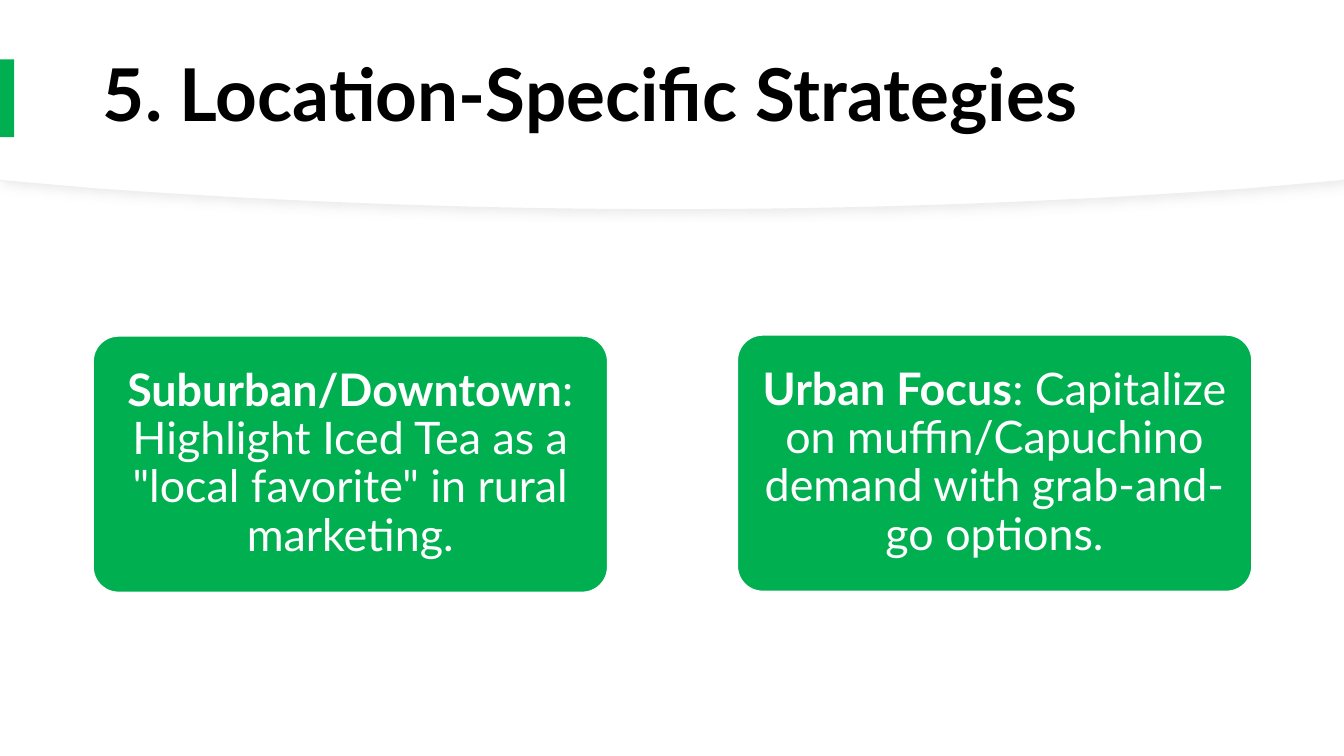
from lxml import etree
from pptx import Presentation
from pptx.dml.color import RGBColor
from pptx.enum.shapes import MSO_SHAPE
from pptx.enum.text import MSO_ANCHOR, PP_ALIGN
from pptx.oxml.ns import nsdecls
from pptx.util import Inches, Pt

RECT = MSO_SHAPE.RECTANGLE
ROUND = MSO_SHAPE.ROUNDED_RECTANGLE
MIDDLE = MSO_ANCHOR.MIDDLE
LEFT, CENTER = PP_ALIGN.LEFT, PP_ALIGN.CENTER

GREEN = RGBColor(0x00, 0xB0, 0x50)
WHITE = RGBColor(0xFF, 0xFF, 0xFF)
BLACK = RGBColor(0x00, 0x00, 0x00)
EDGE = RGBColor(0xEF, 0xEF, 0xEF)
SHADE = RGBColor(0xD9, 0xD9, 0xD9)

FONT = "Lato"
WIDE, HIGH = 13.33, 7.5
STEPS = 24

CARDS = [
    (0.92, 3.33, "Suburban/Downtown",
     ': Highlight Iced Tea as a "local favorite" in rural marketing.'),
    (7.31, 3.32, "Urban Focus",
     ": Capitalize on muffin/Capuchino demand with grab-and-go options."),
]


def style(run, size, color, bold):
    font = run.font
    font.name, font.size, font.bold = FONT, Pt(size), bold
    font.color.rgb = color


def paint(shape, fill):
    shape.shadow.inherit = False
    shape.fill.solid()
    shape.fill.fore_color.rgb = fill
    shape.line.fill.background()


def outline(shape, color, width):
    shape.line.color.rgb = color
    shape.line.width = Pt(width)


def bezier(start, first, second, end):
    """Return points along a cubic curve, without its start."""
    points = []
    for step in range(1, STEPS + 1):
        t = step / STEPS
        u = 1 - t
        points.append(tuple(
            u**3 * a + 3 * u * u * t * b + 3 * u * t * t * c + t**3 * d
            for a, b, c, d in zip(start, first, second, end)))
    return points


def add_panel(slide, width, height):
    """Draw a white panel whose lower edge bows down to the height."""
    mid = width / 2
    side, knee, bend = height - 0.29, height - 0.21, height - 0.08
    half = bezier((width - 0.91, knee), (width - 2.68, bend),
                  (width - 4.63, height), (mid, height))
    mirror = [(width - x, y) for x, y in reversed(half[:-1])]
    points = [(width, 0), (width, side), (width - 0.91, knee), *half,
              *mirror, (0.91, knee), (0, side)]
    pen = slide.shapes.build_freeform(0, 0)
    pen.add_line_segments([(Inches(x), Inches(y)) for x, y in points])
    panel = pen.convert_to_shape()
    paint(panel, WHITE)
    return panel


def add_shadow(shape):
    effects = shape._element.spPr.find("{*}effectLst")
    effects.append(etree.fromstring(
        f'<a:outerShdw {nsdecls("a")} blurRad="{Pt(7)}" dist="{Pt(3)}" '
        f'dir="2700000" algn="tl" rotWithShape="0"><a:srgbClr val="{SHADE}">'
        '<a:alpha val="50000"/></a:srgbClr></a:outerShdw>'))


def add_header(slide, width, height):
    back = add_panel(slide, width, height)
    outline(back, EDGE, 0.75)
    add_shadow(back)
    add_panel(slide, width, height - 0.01)

    title = slide.shapes.title
    back._element.getparent().append(title._element)
    title.left, title.top = Inches(0.92), Inches(0.28)
    title.width, title.height = Inches(11.5), Inches(1.39)
    frame = title.text_frame
    frame.text = "5. Location-Specific Strategies"
    frame.vertical_anchor = MIDDLE
    para = frame.paragraphs[0]
    para.alignment, para.line_spacing = LEFT, 0.9
    style(para.runs[0], 52, BLACK, True)

    mark = slide.shapes.add_shape(
        RECT, 0, Inches(0.59), Inches(0.14), Inches(0.77))
    paint(mark, GREEN)


def add_card(slide, left, top, width, height, label, detail):
    card = slide.shapes.add_shape(
        ROUND, Inches(left), Inches(top), Inches(width), Inches(height))
    card.adjustments[0] = 0.1
    paint(card, GREEN)
    outline(card, WHITE, 1.5)
    frame = card.text_frame
    frame.word_wrap = True
    frame.vertical_anchor = MIDDLE
    frame.margin_left = frame.margin_right = Inches(0.07)
    frame.margin_top = frame.margin_bottom = Inches(0.04)
    para = frame.paragraphs[0]
    para.alignment, para.line_spacing = CENTER, 0.9
    for text, bold in ((label, True), (detail, False)):
        run = para.add_run()
        run.text = text
        style(run, 32, WHITE, bold)


def main():
    deck = Presentation()
    deck.slide_width, deck.slide_height = Inches(WIDE), Inches(HIGH)
    slide = deck.slides.add_slide(deck.slide_layouts.get_by_name("Title Only"))
    add_header(slide, WIDE, 2.08)
    for left, top, label, detail in CARDS:
        add_card(slide, left, top, 5.11, 2.55, label, detail)
    deck.save("out.pptx")


if __name__ == "__main__":
    main()
